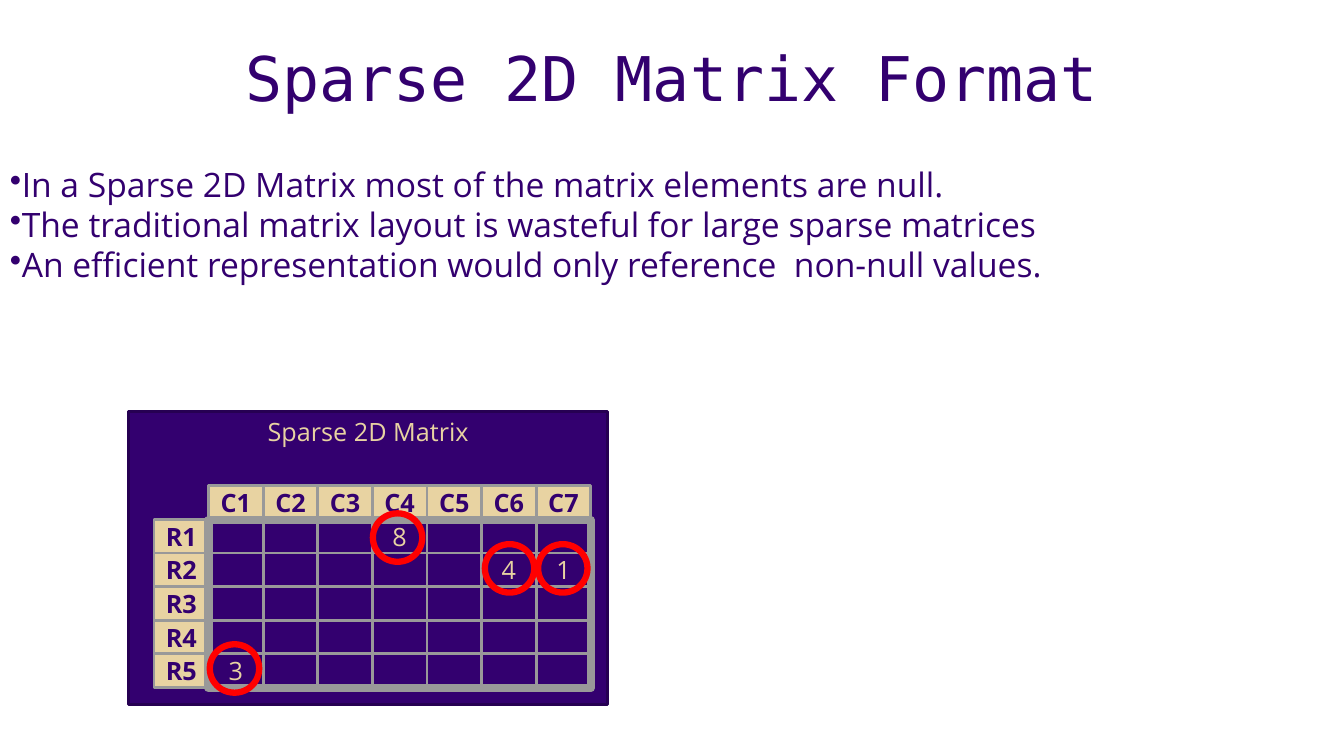
import pptx
import pptx.dml.color
import pptx.enum.shapes
import pptx.enum.text
import pptx.oxml
import pptx.oxml.ns
import pptx.util

Pt = pptx.util.Pt
RGBColor = pptx.dml.color.RGBColor
SHAPE = pptx.enum.shapes.MSO_SHAPE
ALIGN = pptx.enum.text.PP_ALIGN
ANCHOR = pptx.enum.text.MSO_ANCHOR

PURPLE = RGBColor(0x33, 0x00, 0x6F)
DARK_PURPLE = RGBColor(0x26, 0x00, 0x52)
GOLD = RGBColor(0xE8, 0xD3, 0xA2)
GRAY = RGBColor(0x99, 0x99, 0x99)
RED = RGBColor(0xFF, 0x00, 0x00)
WHITE = RGBColor(0xFF, 0xFF, 0xFF)

TITLE_FONT = "DejaVu Sans Mono"
BODY_FONT = "Open Sans"

POINTS = [
    "In a Sparse 2D Matrix most of the matrix elements are null.",
    "The traditional matrix layout is wasteful for large sparse matrices",
    "An efficient representation would only reference  non-null values.",
]
ROWS, COLUMNS = 5, 7
CELL_WIDTH, CELL_HEIGHT = 39, 24
VALUES = {(1, 4): "8", (2, 6): "4", (2, 7): "1", (5, 1): "3"}
RING_SHIFTS = {(1, 4): (-1.5, 1), (2, 6): (0.5, -1), (2, 7): (-0.5, -1), (5, 1): (-1, -1.5)}
RING_WIDTH, RING_HEIGHT = 35.3, 34.6


def add_run(paragraph, text, size, color, font=BODY_FONT, bold=False):
    run = paragraph.add_run()
    run.text = text
    run.font.size = Pt(size)
    run.font.name = font
    run.font.bold = bold
    run.font.color.rgb = color


def add_outline(shapes, kind, box, line_color, line_width, fill=None):
    shape = shapes.add_shape(kind, *[Pt(length) for length in box])
    shape.shadow.inherit = False
    shape.line.color.rgb = line_color
    shape.line.width = Pt(line_width)
    if fill is None:
        shape.fill.background()
    else:
        shape.fill.solid()
        shape.fill.fore_color.rgb = fill
    return shape


def add_label(shape, text, color, bold=False, anchor=ANCHOR.MIDDLE):
    shape.text_frame.vertical_anchor = anchor
    paragraph = shape.text_frame.paragraphs[0]
    paragraph.alignment = ALIGN.CENTER
    add_run(paragraph, text, 18, color, bold=bold)


def fill_title(slide, box):
    title = slide.shapes.title
    title.left, title.top, title.width, title.height = [Pt(length) for length in box]
    title.text_frame.vertical_anchor = ANCHOR.MIDDLE
    paragraph = title.text_frame.paragraphs[0]
    paragraph.alignment = ALIGN.CENTER
    add_run(paragraph, "Sparse 2D Matrix Format", 44, PURPLE, TITLE_FONT)


def add_points(slide, box):
    frame = slide.shapes.add_textbox(*[Pt(length) for length in box]).text_frame
    frame.word_wrap = True
    for index, text in enumerate(POINTS):
        paragraph = frame.add_paragraph() if index else frame.paragraphs[0]
        paragraph.line_spacing = Pt(28.6)
        properties = paragraph._p.get_or_add_pPr()
        properties.set("marL", "0")
        properties.set("indent", "0")
        bullet = pptx.oxml.parse_xml(
            f'<a:buChar {pptx.oxml.ns.nsdecls("a")} char="•"/>')
        properties.append(bullet)
        add_run(paragraph, text, 24, PURPLE)


def add_matrix(slide, box):
    left, top, width, height = box
    shapes = slide.shapes.add_group_shape().shapes
    panel = add_outline(shapes, SHAPE.RECTANGLE, box, DARK_PURPLE, 2, PURPLE)
    add_label(panel, "Sparse 2D Matrix", GOLD, anchor=ANCHOR.TOP)

    grid_left, grid_top = left + 18, top + 53
    for row in range(ROWS + 1):
        for column in range(COLUMNS + 1):
            if row == column == 0:
                continue
            is_header = row == 0 or column == 0
            cell_box = (grid_left + column * CELL_WIDTH, grid_top + row * CELL_HEIGHT,
                        CELL_WIDTH, CELL_HEIGHT)
            cell = add_outline(shapes, SHAPE.RECTANGLE, cell_box, GRAY, 2,
                               GOLD if is_header else PURPLE)
            if is_header:
                label = f"R{row}" if column == 0 else f"C{column}"
                add_label(cell, label, PURPLE, bold=True)
            elif (row, column) in VALUES:
                add_label(cell, VALUES[row, column], GOLD)

    frame_box = (grid_left + CELL_WIDTH, grid_top + CELL_HEIGHT + 0.5,
                 COLUMNS * CELL_WIDTH, ROWS * CELL_HEIGHT)
    add_outline(shapes, SHAPE.RECTANGLE, frame_box, GRAY, 6)

    for (row, column), (shift_x, shift_y) in RING_SHIFTS.items():
        center_x = grid_left + (column + 0.5) * CELL_WIDTH + shift_x
        center_y = grid_top + (row + 0.5) * CELL_HEIGHT + shift_y
        ring_box = (center_x - RING_WIDTH / 2, center_y - RING_HEIGHT / 2,
                    RING_WIDTH, RING_HEIGHT)
        add_outline(shapes, SHAPE.OVAL, ring_box, RED, 4.5)


def main():
    presentation = pptx.Presentation()
    presentation.slide_width = Pt(960)
    presentation.slide_height = Pt(540)
    slide = presentation.slides.add_slide(presentation.slide_layouts.get_by_name("Title Only"))
    slide.background.fill.solid()
    slide.background.fill.fore_color.rgb = WHITE
    fill_title(slide, (66, 18, 828, 73.5))
    add_points(slide, (0, 114, 864, 215))
    add_matrix(slide, (92, 294, 342, 209.5))
    presentation.save("out.pptx")


if __name__ == "__main__":
    main()
